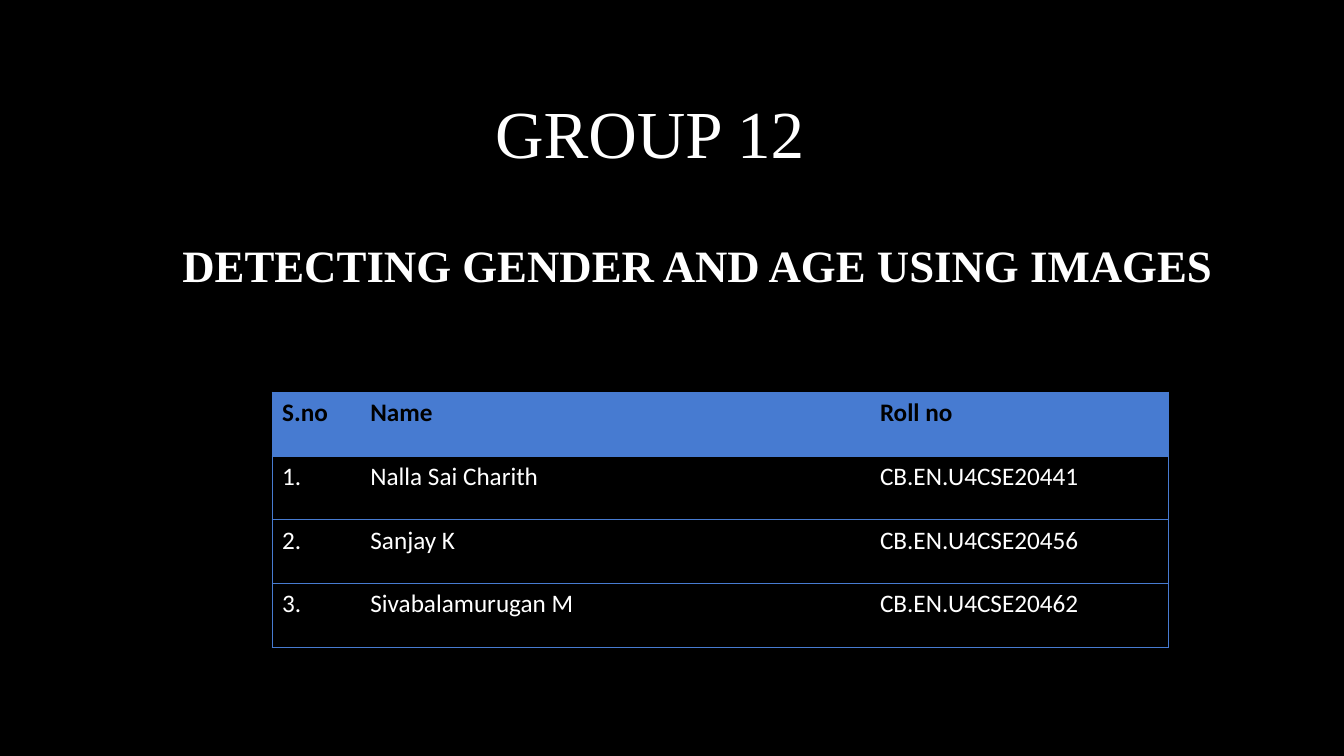
import pptx
import pptx.util
import pptx.dml.color
import pptx.enum.text
import pptx.oxml
import pptx.oxml.ns

TITLE = "GROUP 12"
SUBTITLE = "DETECTING GENDER AND AGE USING IMAGES"
MEMBERS = [
    ("S.no", "Name", "Roll no"),
    ("1.", "Nalla Sai Charith", "CB.EN.U4CSE20441"),
    ("2.", "Sanjay K", "CB.EN.U4CSE20456"),
    ("3.", "Sivabalamurugan M", "CB.EN.U4CSE20462"),
]
COLUMN_WIDTHS = (63, 364, 213)
ROW_HEIGHT = 45.7
THEME = {
    "background": "000000", "text": "FFFFFF", "accent": "477BD1",
    "heading_font": "Times New Roman", "table_font": "Calibri",
    "title_size": 48, "subtitle_size": 32, "table_size": 18, "rule": 0.75,
}
Pt = pptx.util.Pt
ALIGN = pptx.enum.text.PP_ALIGN
ANCHOR = pptx.enum.text.MSO_ANCHOR


def rgb(name):
    return pptx.dml.color.RGBColor.from_string(THEME[name])


def write(tf, text, *, size, font, color="text", bold=False, align=ALIGN.LEFT):
    p = tf.paragraphs[0]
    p.alignment = align
    r = p.add_run()
    r.text = text
    r.font.size = Pt(THEME[size])
    r.font.name = THEME[font]
    r.font.bold = bold
    r.font.color.rgb = rgb(color)


def add_heading(s, text, box, *, anchor, top=3.6, bottom=3.6, **fmt):
    tf = s.shapes.add_textbox(*map(Pt, box)).text_frame
    tf.word_wrap = True
    tf.vertical_anchor = anchor
    tf.margin_top, tf.margin_bottom = Pt(top), Pt(bottom)
    write(tf, text, font="heading_font", align=ALIGN.RIGHT, **fmt)


def set_borders(cell, visible):
    """Rule the sides named in visible (letters of LRTB) and clear the rest."""
    tc_pr = cell._tc.get_or_add_tcPr()
    for i, side in enumerate("LRTB"):
        fill = "<a:noFill/>"
        if side in visible:
            fill = f'<a:solidFill><a:srgbClr val="{THEME["accent"]}"/></a:solidFill>'
        tc_pr.insert(i, pptx.oxml.parse_xml(
            f'<a:ln{side} {pptx.oxml.ns.nsdecls("a")} w="{int(Pt(THEME["rule"]))}">'
            f"{fill}</a:ln{side}>"))


def add_members_table(s, left, top):
    rows, cols = len(MEMBERS), len(COLUMN_WIDTHS)
    table = s.shapes.add_table(rows, cols, Pt(left), Pt(top),
                               Pt(sum(COLUMN_WIDTHS)), Pt(ROW_HEIGHT * rows)).table
    for column, width in zip(table.columns, COLUMN_WIDTHS):
        column.width = Pt(width)
    for i, member in enumerate(MEMBERS):
        table.rows[i].height = Pt(ROW_HEIGHT)
        header = i == 0
        for j, text in enumerate(member):
            cell = table.cell(i, j)
            cell.fill.solid()
            cell.fill.fore_color.rgb = rgb("accent" if header else "background")
            write(cell.text_frame, text, size="table_size", font="table_font",
                  color="background" if header else "text", bold=header)
            set_borders(cell, "TB" + "L" * (j == 0) + "R" * (j == cols - 1))


def main():
    prs = pptx.Presentation()
    prs.slide_width, prs.slide_height = Pt(960), Pt(540)
    s = prs.slides.add_slide(prs.slide_layouts[6])
    s.background.fill.solid()
    s.background.fill.fore_color.rgb = rgb("background")
    add_heading(s, TITLE, (295, 9.4, 286.6, 173.5), anchor=ANCHOR.BOTTOM,
                bottom=60, size="title_size")
    add_heading(s, SUBTITLE, (111.6, 162.7, 761.8, 74.9), anchor=ANCHOR.TOP,
                top=7.4, size="subtitle_size", bold=True)
    add_members_table(s, 194.4, 280)
    prs.save("out.pptx")


if __name__ == "__main__":
    main()
